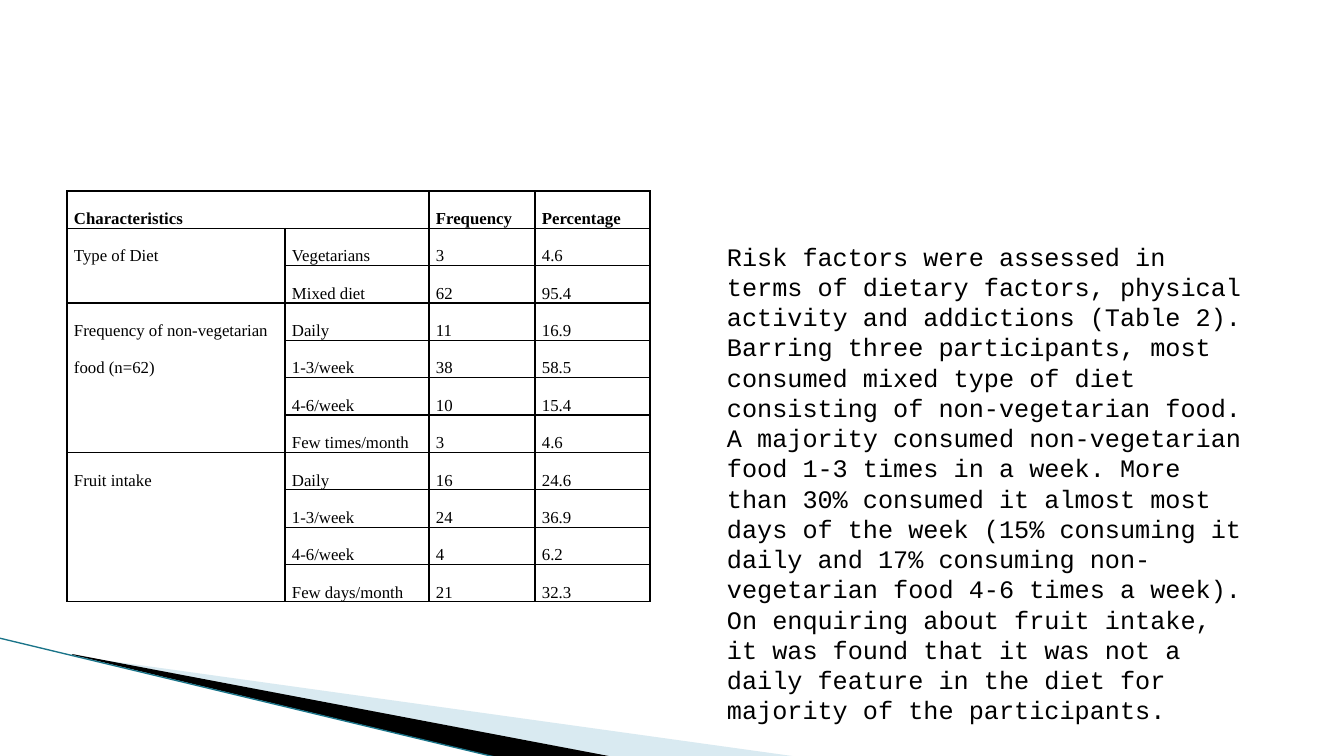
from lxml import etree
from pptx import Presentation
from pptx.dml.color import RGBColor
from pptx.enum.shapes import MSO_CONNECTOR
from pptx.enum.text import MSO_ANCHOR, MSO_AUTO_SIZE
from pptx.oxml.ns import qn
from pptx.util import Pt

SCALE = 914400 / 100.8
STRAIGHT = MSO_CONNECTOR.STRAIGHT
TOP = MSO_ANCHOR.TOP
GROW = MSO_AUTO_SIZE.SHAPE_TO_FIT_TEXT
BLACK = "000000"
EDGES = ("a:lnL", "a:lnR", "a:lnT", "a:lnB")


def px(*vals):
    """Turn pixels into EMU."""
    return [round(v * SCALE) for v in vals]


def color(code):
    """Turn a hex string into a colour."""
    return RGBColor.from_string(code)


def apply(item, fmt):
    """Set each attribute named in a dict."""
    for key, val in fmt.items():
        setattr(item, key, val)


class Board:
    """Hold the style and the current slide."""

    prose = {"name": "Courier New", "size": Pt(18), "bold": False}
    data = {"name": "Times New Roman", "size": Pt(12), "bold": False}
    head = {**data, "bold": True}

    def __init__(self, slide):
        """Keep the shapes of the slide."""
        self.shapes = slide.shapes

    def put(self, frame, text, font, fmt):
        """Fill a text frame, one paragraph a line."""
        frame.text = text
        for para in frame.paragraphs:
            apply(para, fmt)
            for run in para.runs:
                apply(run.font, font)
                run.font.color.rgb = color(BLACK)

    def wedge(self, points, fill, alpha=100):
        """Draw a closed outline with a fill."""
        build = self.shapes.build_freeform(*points[0], scale=SCALE)
        build.add_line_segments(points[1:], close=True)
        shape = build.convert_to_shape()
        shape.shadow.inherit = False
        shape.line.fill.background()
        shape.fill.solid()
        shape.fill.fore_color.rgb = color(fill)
        if alpha < 100:
            tint = shape.element.spPr.find(".//" + qn("a:srgbClr"))
            etree.SubElement(tint, qn("a:alpha"), val=str(alpha * 1000))

    def line(self, ends, ink, width):
        """Draw a straight line."""
        link = self.shapes.add_connector(STRAIGHT, *px(*ends))
        link.line.color.rgb = color(ink)
        link.line.width = Pt(width)
        etree.SubElement(link.element.spPr, qn("a:effectLst"))

    def text(self, box, words):
        """Add a wrapped text box."""
        frame = self.shapes.add_textbox(*px(*box)).text_frame
        apply(frame, {"word_wrap": True, "auto_size": GROW})
        self.put(frame, words, self.prose, {})

    def border(self, cell):
        """Rule all four sides of a cell."""
        props = cell._tc.get_or_add_tcPr()
        for spot, edge in enumerate(EDGES):
            rule = etree.Element(qn(edge), w=str(Pt(1)))
            fill = etree.SubElement(rule, qn("a:solidFill"))
            etree.SubElement(fill, qn("a:srgbClr"), val=BLACK)
            props.insert(spot, rule)

    def table(self, spot, cols, high, rows, spans):
        """Add a ruled table with merged cells."""
        size = (sum(cols), high * len(rows))
        grid = self.shapes.add_table(len(rows), len(cols), *px(*spot, *size)).table
        apply(grid, {"first_row": False, "horz_banding": False})
        for col, wide in zip(grid.columns, px(*cols)):
            col.width = wide
        side = px(7)[0]
        fmt = {"margin_left": side, "margin_right": side, "margin_top": 0,
               "margin_bottom": 0, "vertical_anchor": TOP}
        for r, row in enumerate(rows):
            for c, words in enumerate(row):
                cell = grid.cell(r, c)
                apply(cell, fmt)
                cell.fill.background()
                self.border(cell)
                font = self.data if r else self.head
                self.put(cell.text_frame, words, font, {"line_spacing": 2.0})
        for r, c, down, over in spans:
            grid.cell(r, c).merge(grid.cell(r + down - 1, c + over - 1))


GROUPS = [
    ("Type of Diet", [("Vegetarians", "3", "4.6"), ("Mixed diet", "62", "95.4")]),
    ("Frequency of non-vegetarian\nfood (n=62)", [
        ("Daily", "11", "16.9"), ("1-3/week", "38", "58.5"),
        ("4-6/week", "10", "15.4"), ("Few times/month", "3", "4.6")]),
    ("Fruit intake", [
        ("Daily", "16", "24.6"), ("1-3/week", "24", "36.9"),
        ("4-6/week", "4", "6.2"), ("Few days/month", "21", "32.3")]),
]
RISKS = (
    "Risk factors were assessed in terms of dietary factors, physical activity "
    "and addictions (Table 2). Barring three participants, most consumed mixed "
    "type of diet consisting of non-vegetarian food. A majority consumed "
    "non-vegetarian food 1-3 times in a week. More than 30% consumed it almost "
    "most days of the week (15% consuming it daily and 17% consuming "
    "non-vegetarian food 4-6 times a week). On enquiring about fruit intake, it "
    "was found that it was not a daily feature in the diet for majority of the "
    "participants. "
)

deck = Presentation()
deck.slide_width, deck.slide_height = px(1344, 756)
board = Board(deck.slides.add_slide(deck.slide_layouts[6]))

board.wedge([(74, 656), (799, 757), (613, 757), (74, 655)], "A0CBDC", 40)
board.wedge([(72, 654), (614, 757), (500, 758), (73, 655)], BLACK)
board.line((-1, 638, 499, 758), "1A7489", 0.95)

rows = [("Characteristics", "", "Frequency", "Percentage")]
spans = [(0, 0, 1, 2)]
for name, items in GROUPS:
    spans.append((len(rows), 0, len(items), 1))
    for i, item in enumerate(items):
        rows.append(("" if i else name, *item))
board.table((67, 191), (218, 144, 106, 115), 37, rows, spans)
board.text((717, 236, 540, 437), RISKS)

deck.save("out.pptx")
